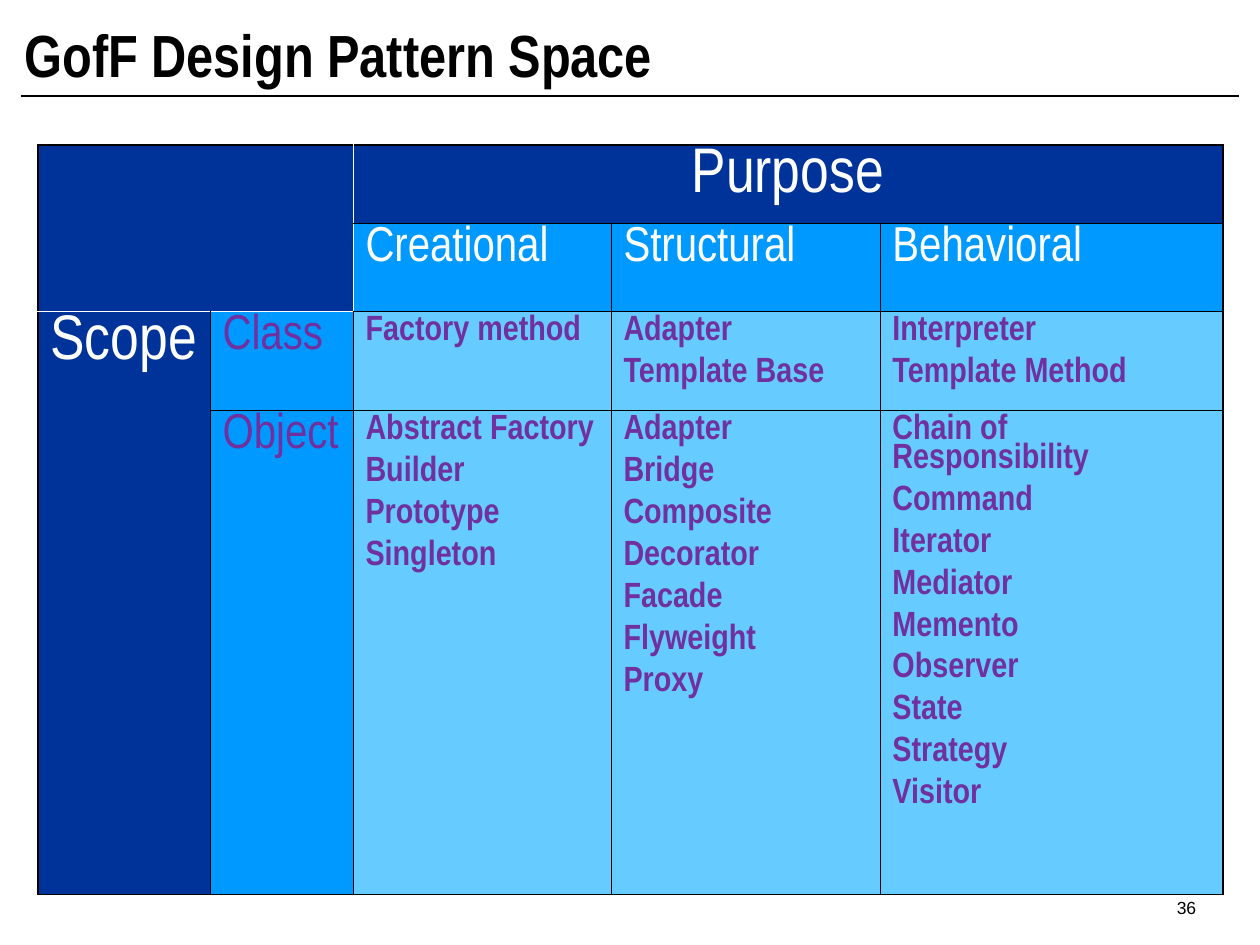
import pptx
import pptx.dml.color
import pptx.enum.shapes
import pptx.enum.text
import pptx.oxml
import pptx.oxml.ns
import pptx.util
from dataclasses import dataclass

SCALE = 914400 / 126
ALIGN = pptx.enum.text.PP_ALIGN


@dataclass(frozen=True)
class Theme:
    black: str = "000000"
    white: str = "FFFFFF"
    navy: str = "003399"
    blue: str = "0099FF"
    sky: str = "66CCFF"
    purple: str = "7030A0"
    narrow: str = "Arial Narrow"
    plain: str = "Arial"
    title: int = 34
    group: int = 36
    kind: int = 28
    item: int = 20
    page: int = 10
    thin: float = 0.45
    thick: float = 1.08


THEME = Theme()
GROUP = dict(size=THEME.group, color=THEME.white, before=13.5, ratio=0.87)
HEAD = dict(size=THEME.kind, color=THEME.white, before=10.5, ratio=0.87)
SIDE = dict(HEAD, color=THEME.purple)
ITEM = dict(size=THEME.item, color=THEME.purple, bold=True, before=7.5, ratio=0.87)

COLS = [172, 143, 258, 269, 343]
ROWS = [78, 88, 99, 484]
BLOCKS = [
    (0, 0, 2, 2, THEME.navy, "", GROUP),
    (0, 2, 1, 3, THEME.navy, "Purpose", dict(GROUP, align=ALIGN.CENTER)),
    (1, 2, 1, 1, THEME.blue, "Creational", HEAD),
    (1, 3, 1, 1, THEME.blue, "Structural", HEAD),
    (1, 4, 1, 1, THEME.blue, "Behavioral", HEAD),
    (2, 0, 2, 1, THEME.navy, "Scope", GROUP),
    (2, 1, 1, 1, THEME.blue, "Class", SIDE),
    (2, 2, 1, 1, THEME.sky, "Factory method", ITEM),
    (2, 3, 1, 1, THEME.sky, "Adapter\nTemplate Base", ITEM),
    (2, 4, 1, 1, THEME.sky, "Interpreter\nTemplate Method", ITEM),
    (3, 1, 1, 1, THEME.blue, "Object", SIDE),
    (3, 2, 1, 1, THEME.sky, "Abstract Factory\nBuilder\nPrototype\nSingleton", ITEM),
    (3, 3, 1, 1, THEME.sky,
     "Adapter\nBridge\nComposite\nDecorator\nFacade\nFlyweight\nProxy", ITEM),
    (3, 4, 1, 1, THEME.sky,
     "Chain of Responsibility\nCommand\nIterator\nMediator\nMemento\n"
     "Observer\nState\nStrategy\nVisitor", ITEM),
]


def px(value):
    return pptx.util.Emu(round(value * SCALE))


def rgb(value):
    return pptx.dml.color.RGBColor.from_string(value)


def write(frame, text, size, color=THEME.black, face=THEME.narrow, bold=False,
          align=ALIGN.LEFT, before=0, ratio=1.0):
    for index, line in enumerate(text.split("\n")):
        para = frame.add_paragraph() if index else frame.paragraphs[0]
        para.alignment = align
        para.space_before = pptx.util.Pt(before)
        para.line_spacing = ratio
        para.font.size = pptx.util.Pt(size)
        if line:
            run = para.add_run()
            run.text = line
            run.font.name = face
            run.font.size = pptx.util.Pt(size)
            run.font.bold = bold
            run.font.color.rgb = rgb(color)


def label(slide, text, box, wrap=True, **form):
    frame = slide.shapes.add_textbox(*map(px, box)).text_frame
    frame.word_wrap = wrap
    frame.vertical_anchor = pptx.enum.text.MSO_ANCHOR.MIDDLE
    write(frame, text, **form)


def rule(slide, left, right, top):
    line = slide.shapes.add_connector(
        pptx.enum.shapes.MSO_CONNECTOR.STRAIGHT, px(left), px(top), px(right), px(top))
    line.line.color.rgb = rgb(THEME.black)
    line.line.width = pptx.util.Pt(1)
    props = line._element.spPr
    props.append(pptx.oxml.parse_xml(
        f'<a:effectLst {pptx.oxml.ns.nsdecls("a")}/>'))


def edges(row, col, high, wide):
    last, foot = col + wide, row + high
    return {
        "L": (col == 0, col == 2 and row < 2),
        "R": (last == len(COLS), last == 2 and row < 2),
        "T": (row == 0, row == 2 and col < 2),
        "B": (foot == len(ROWS), foot == 2 and col < 2),
    }


def border(cell, sides):
    props = cell._tc.get_or_add_tcPr()
    for side, (outer, pale) in sides.items():
        width = pptx.util.Pt(THEME.thick if outer else THEME.thin)
        color = THEME.white if pale else THEME.black
        props.append(pptx.oxml.parse_xml(
            f'<a:ln{side} {pptx.oxml.ns.nsdecls("a")} w="{width}"><a:solidFill>'
            f'<a:srgbClr val="{color}"/></a:solidFill></a:ln{side}>'))


def block(table, row, col, high, wide, fill, text, form):
    first = table.cell(row, col)
    if high * wide > 1:
        first.merge(table.cell(row + high - 1, col + wide - 1))
    sides = edges(row, col, high, wide)
    for down in range(row, row + high):
        for over in range(col, col + wide):
            cell = table.cell(down, over)
            border(cell, sides)
            cell.fill.solid()
            cell.fill.fore_color.rgb = rgb(fill)
    write(first.text_frame, text, **form)


def grid(slide, left, top):
    table = slide.shapes.add_table(
        len(ROWS), len(COLS), px(left), px(top), px(sum(COLS)), px(sum(ROWS))).table
    table.first_row = table.horz_banding = False
    for col, wide in zip(table.columns, COLS):
        col.width = px(wide)
    for row, high in zip(table.rows, ROWS):
        row.height = px(high)
    for part in BLOCKS:
        block(table, *part)


def main():
    deck = pptx.Presentation()
    deck.slide_width, deck.slide_height = px(1260), px(945)
    slide = deck.slides.add_slide(deck.slide_layouts[6])
    rule(slide, 21, 1239, 96)
    label(slide, "36", (1126, 885, 121, 45), wrap=False, size=THEME.page,
          face=THEME.plain, align=ALIGN.CENTER)
    label(slide, "GofF Design Pattern Space", (12, 17, 1240, 73),
          size=THEME.title, bold=True)
    grid(slide, 38, 145)
    deck.save("out.pptx")


if __name__ == "__main__":
    main()
